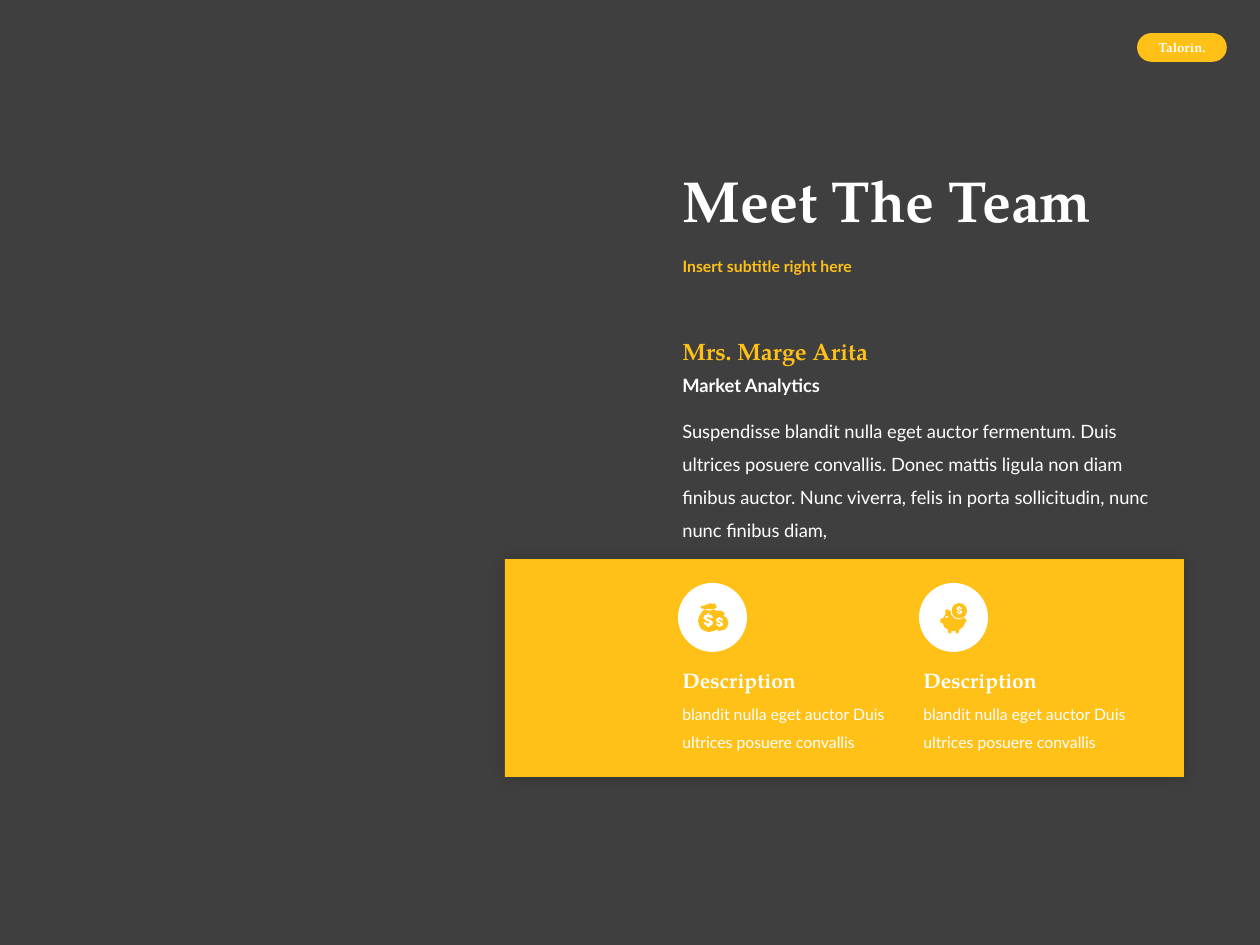
import math

from lxml import etree
from pptx import Presentation
from pptx import util as u
from pptx.dml.color import RGBColor
from pptx.enum import shapes, text
from pptx.oxml.ns import qn

PX = 914400 // 126
ICON_STEPS = 100  # drawing steps in one icon unit (0.01 inch)
DARK, YELLOW, WHITE = "3F3F3F", "FFC118", "FFFFFF"
SERIF, SANS = "TeX Gyre Pagella", "Lato"

DOLLAR = [(1, 5.5), (-1, 5.5), (-1, 4.5), (-3, 3.5), (-4, 1.5), (-2, 1.5),
          (-1, 2.5), (0.5, 2.5), (1, 1.5), (-2, 0.3), (-4, -1.5), (-3, -3.8),
          (-1, -4.5), (-1, -5.5), (1, -5.5), (1, -4.5), (3, -3.8), (4, -1.5),
          (1.5, -1.5), (0, -2.7), (-1, -1.8), (0, -0.9), (3, 0.3), (4, 2),
          (3, 4), (1, 4.6)]
BAGS = [(21, 21), (25, 22), (29, 21), (30, 22), (34, 22), (36, 23), (37, 24),
        (37, 25), (36, 26), (39, 28), (40, 32), (39, 35), (37, 37), (33, 38),
        (30, 37), (29, 38), (24, 39), (19, 37), (17, 34), (16, 30), (17, 26),
        (19, 23)]
BAG_TIE = [(21, 21), (24, 20.5), (28, 21), (31, 19), (30, 18), (30, 16.5),
           (29, 16), (27, 17), (26, 16), (23, 17), (21, 18), (19, 18),
           (18, 19), (18, 20), (20, 20.3)]
PIG = [(37, 29), (36, 27), (34, 28.5), (32, 29), (28, 28), (25.5, 25),
       (25, 22), (22, 21), (21, 21), (21, 25), (19, 28), (17, 28.5), (17, 31.5),
       (19, 32), (20, 35), (23, 37), (23, 39), (24, 40), (25.5, 40), (26, 38),
       (29, 38), (29.5, 40), (31, 40), (32, 38), (32, 37), (35, 35), (37, 31),
       (38, 30)]


def color(value):
    return RGBColor.from_string(value)


def box(left, top, width, height):
    return [u.Emu(value * PX) for value in (left, top, width, height)]


def paint(shape, fill):
    shape.shadow.inherit = False
    shape.fill.solid()
    shape.fill.fore_color.rgb = color(fill)
    shape.line.fill.background()
    return shape


def write(shape, words, size, name, fill, bold=True, frame_format=None, **paragraph_format):
    frame = shape.text_frame
    formats = {"word_wrap": True, "auto_size": text.MSO_AUTO_SIZE.SHAPE_TO_FIT_TEXT}
    for key, value in {**formats, **(frame_format or {})}.items():
        setattr(frame, key, value)
    paragraph = frame.paragraphs[0]
    for key, value in {"alignment": text.PP_ALIGN.LEFT, **paragraph_format}.items():
        setattr(paragraph, key, value)
    run = paragraph.add_run()
    run.text = words
    for key, value in {"size": u.Pt(size), "name": name, "bold": bold}.items():
        setattr(run.font, key, value)
    run.font.color.rgb = color(fill)


def add_text(slide, place, *args, **options):
    write(slide.shapes.add_textbox(*box(*place)), *args, **options)


def add_tag(slide, left, top):
    pill = slide.shapes.add_shape(shapes.MSO_SHAPE.ROUNDED_RECTANGLE,
                                  *box(left, top, 88, 27))
    pill.adjustments[0] = 0.5
    paint(pill, YELLOW)
    pill.line.color.rgb = color(YELLOW)
    pill.line.width = u.Pt(1)
    add_text(slide, (left + 4, top - 1, 80, 29), "Talorin.", 7.5, SERIF, WHITE,
             alignment=text.PP_ALIGN.CENTER)


def fill_heading(slide, left, top):
    title, subtitle = slide.placeholders
    for placeholder, place, words, size, name, fill in (
            (title, (left, top, 709, 130), "Meet The Team", 33, SERIF, WHITE),
            (subtitle, (left, top + 104, 709, 48), "Insert subtitle right here",
             9, SANS, YELLOW)):
        for key, value in zip(("left", "top", "width", "height"), box(*place)):
            setattr(placeholder, key, value)
        write(placeholder, words, size, name, fill, line_spacing=0.9, space_before=u.Pt(0),
              frame_format={"auto_size": text.MSO_AUTO_SIZE.NONE,
                            "vertical_anchor": text.MSO_ANCHOR.MIDDLE})


def add_profile(slide, left, top):
    add_text(slide, (left, top, 229, 42), "Mrs. Marge Arita", 13.5, SERIF, YELLOW)
    add_text(slide, (left, top + 37, 192, 35), "Market Analytics", 10.5, SANS, WHITE)
    add_text(slide, (left, top + 72, 514, 110),
             "Suspendisse blandit nulla eget auctor fermentum. Duis ultrices posuere "
             "convallis. Donec mattis ligula non diam finibus auctor. Nunc viverra, "
             "felis in porta sollicitudin, nunc nunc finibus diam,",
             10.5, SANS, WHITE, bold=False, line_spacing=1.5)


def add_panel(slide, left, top):
    panel = slide.shapes.add_shape(shapes.MSO_SHAPE.RECTANGLE, *box(left, top, 679, 218))
    paint(panel, YELLOW)
    # Soft glow around the panel
    effects = panel._element.spPr.find(qn("a:effectLst"))
    shadow = etree.SubElement(effects, qn("a:outerShdw"), blurRad=str(u.Pt(9)),
                              dist="0", dir="0", algn="ctr", rotWithShape="0")
    black = etree.SubElement(shadow, qn("a:srgbClr"), val="000000")
    etree.SubElement(black, qn("a:alpha"), val="20000")


def ring(x, y, radius, count=32):
    angles = [2 * math.pi * step / count for step in range(count)]
    return [(x + radius * math.cos(a), y + radius * math.sin(a)) for a in angles]


def dollar(x, y, scale):
    return [(x + scale * dx, y + scale * dy) for dx, dy in DOLLAR]


def add_icon_part(slide, left, top, contours):
    scaled = [[(x * ICON_STEPS, y * ICON_STEPS) for x, y in contour]
              for contour in contours]
    builder = slide.shapes.build_freeform(*scaled[0][0], scale=9144 / ICON_STEPS)
    for index, contour in enumerate(scaled):
        if index:
            builder.move_to(*contour[0])
        builder.add_line_segments(contour[1:], close=True)
    paint(builder.convert_to_shape(left * PX, top * PX), YELLOW)


def add_description(slide, left, top, icon_parts):
    disc = slide.shapes.add_shape(shapes.MSO_SHAPE.OVAL, *box(left + 8, top, 69, 69))
    paint(disc, WHITE)
    for contours in icon_parts:
        add_icon_part(slide, left + 8, top, contours)
    add_text(slide, (left, top + 78, 184, 38), "Description", 12, SERIF, WHITE)
    add_text(slide, (left, top + 106, 230, 67),
             "blandit nulla eget auctor Duis ultrices posuere convallis",
             9, SANS, WHITE, bold=False, line_spacing=1.5)


def main():
    presentation = Presentation()
    presentation.slide_width, presentation.slide_height = u.Inches(10), u.Inches(7.5)
    slide = presentation.slides.add_slide(presentation.slide_layouts[0])
    slide.background.fill.solid()
    slide.background.fill.fore_color.rgb = color(DARK)

    column = 670
    add_tag(slide, 1138, 34)
    fill_heading(slide, column, 139)
    add_panel(slide, 505, 559)
    add_profile(slide, column, 331)

    # Two descriptions with their icons
    money_bags = [[BAGS, dollar(24, 29.5, 1), dollar(33, 31, 0.75)], [BAG_TIE]]
    piggy_bank = [[PIG, ring(22, 27, 1)], [ring(32, 22, 6), dollar(32, 21.7, 0.6)]]
    for index, icon_parts in enumerate((money_bags, piggy_bank)):
        add_description(slide, column + index * 241, 583, icon_parts)

    presentation.save("out.pptx")


if __name__ == "__main__":
    main()
